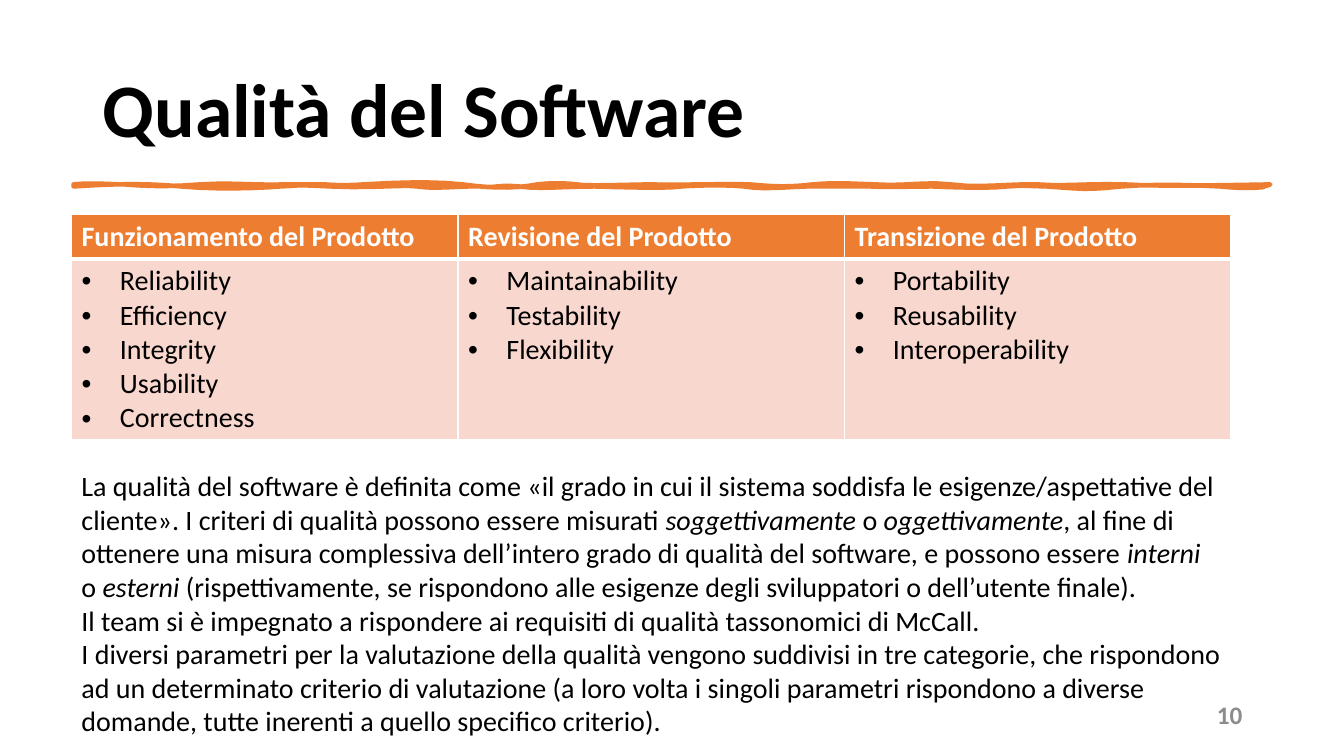
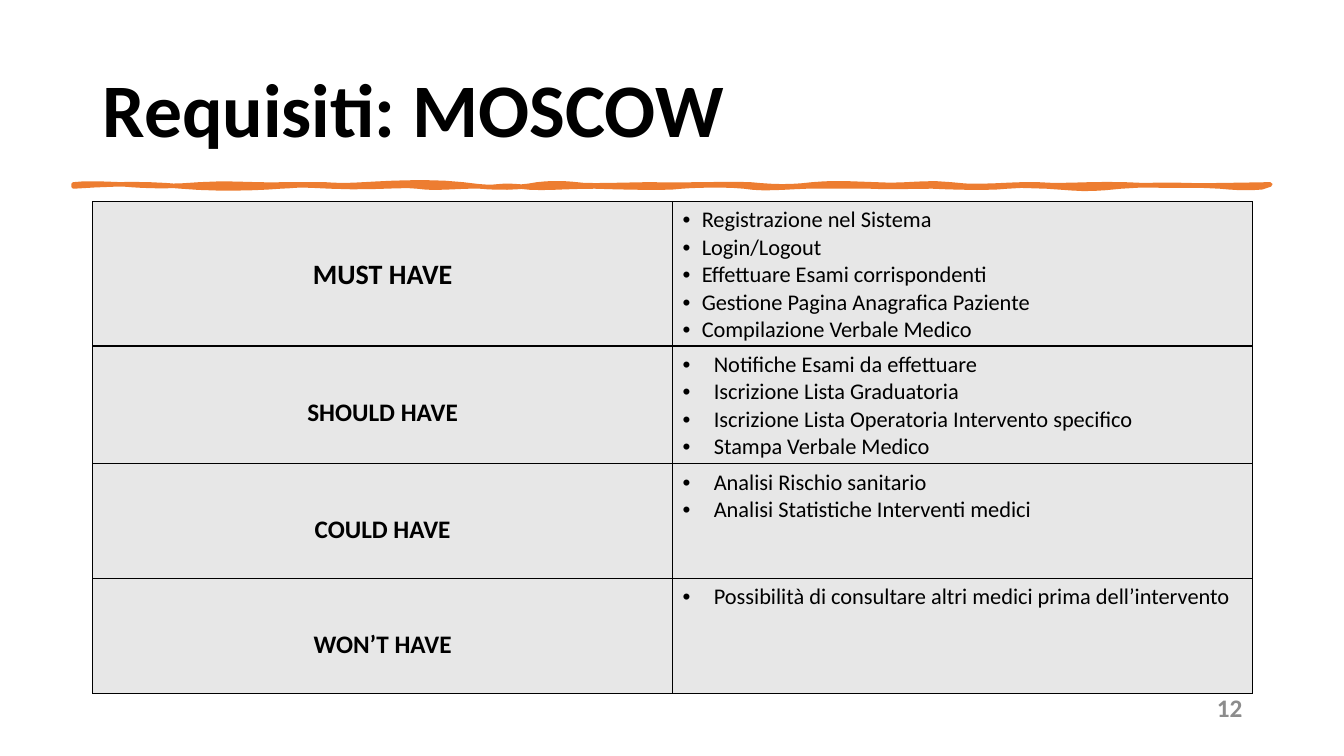
from lxml.etree import SubElement
from pptx import Presentation
from pptx.dml.color import RGBColor
from pptx.enum.text import MSO_ANCHOR as Anchor, PP_ALIGN as Align
from pptx.oxml.ns import qn
from pptx.util import Inches, Pt

FONT = "Calibri"
BLACK, WHITE, ORANGE = "000000", "FFFFFF", "ED7D31"
PEACH, GREY, NUMBER_GREY = "F8D7CE", "E7E7E7", "8C8C8C"
TABLE_WIDTH = 11.5

STROKE_LEFT = 0.73
TOP_EDGE, BOTTOM_EDGE = 1.83, 1.85
TOP_CURVES = [
    (0.89, 1.81, 1.11, 1.83, 1.24), (1.36, 1.84, 1.62, 1.86, 1.98),
    (2.34, 1.81, 2.51, 1.84, 2.84), (3.17, 1.83, 3.07, 1.83, 3.22),
    (3.38, 1.84, 3.42, 1.84, 3.61), (3.8, 1.82, 4.24, 1.79, 4.59),
    (4.94, 1.88, 5.17, 1.86, 5.33), (5.49, 1.81, 5.63, 1.82, 5.72),
    (5.81, 1.85, 6.25, 1.83, 6.46), (6.67, 1.84, 7.23, 1.82, 7.44),
    (7.65, 1.85, 7.82, 1.86, 8.06), (8.3, 1.81, 8.38, 1.82, 8.68),
    (8.99, 1.85, 9.14, 1.8, 9.43), (9.72, 1.87, 10.02, 1.82, 10.29),
    (10.55, 1.85, 10.78, 1.82, 11.15), (11.51, 1.85, 11.99, 1.84, 12.6),
]
BOTTOM_CURVES = [
    (12.42, 1.87, 12.3, 1.87, 12.1), (11.9, 1.84, 11.49, 1.82, 11.12),
    (10.75, 1.89, 10.7, 1.87, 10.38), (10.05, 1.84, 10.18, 1.84, 9.99),
    (9.8, 1.87, 9.48, 1.86, 9.25), (9.02, 1.85, 8.84, 1.86, 8.63),
    (8.41, 1.85, 8.28, 1.85, 8), (7.73, 1.86, 7.57, 1.88, 7.38),
    (7.19, 1.83, 6.88, 1.84, 6.76), (6.63, 1.87, 6.24, 1.86, 5.9),
    (5.55, 1.85, 5.37, 1.88, 5.15), (4.94, 1.83, 4.91, 1.87, 4.77),
    (4.63, 1.84, 4.3, 1.88, 4.14), (3.99, 1.83, 3.71, 1.87, 3.28),
    (2.86, 1.83, 3.03, 1.84, 2.78), (2.53, 1.87, 2.13, 1.88, 1.8),
    (1.47, 1.82, 1.18, 1.82, 0.73),
]

QUALITY_FACTORS = {
    "Funzionamento del Prodotto": ["Reliability", "Efficiency", "Integrity", "Usability", "Correctness"],
    "Revisione del Prodotto": ["Maintainability", "Testability", "Flexibility"],
    "Transizione del Prodotto": ["Portability", "Reusability", "Interoperability"],
}
QUALITY_TEXT = [
    "La qualità del software è definita come «il grado in cui il sistema soddisfa le "
    "esigenze/aspettative del cliente». I criteri di qualità possono essere misurati "
    "*soggettivamente* o *oggettivamente*, al fine di ottenere una misura complessiva "
    "dell’intero grado di qualità del software, e possono essere *interni* o *esterni* "
    "(rispettivamente, se rispondono alle esigenze degli sviluppatori o dell’utente finale).",
    "Il team si è impegnato a rispondere ai requisiti di qualità tassonomici di McCall.",
    "I diversi parametri per la valutazione della qualità vengono suddivisi in tre categorie, "
    "che rispondono ad un determinato criterio di valutazione (a loro volta i singoli parametri "
    "rispondono a diverse domande, tutte inerenti a quello specifico criterio).",
]
REQUIREMENTS = [
    ("MUST HAVE", 20, 0.19, 1.39, [
        "Registrazione nel Sistema", "Login/Logout", "Effettuare Esami corrispondenti",
        "Gestione Pagina Anagrafica Paziente", "Compilazione Verbale Medico"]),
    ("SHOULD HAVE", 18, 0.31, 1.14, [
        "Notifiche Esami da effettuare", "Iscrizione Lista Graduatoria",
        "Iscrizione Lista Operatoria Intervento specifico", "Stampa Verbale Medico"]),
    ("COULD HAVE", 18, 0.31, 1.14, [
        "Analisi Rischio sanitario", "Analisi Statistiche Interventi medici"]),
    ("WON’T HAVE", 18, 0.31, 1.14, [
        "Possibilità di consultare altri medici prima dell’intervento"]),
]


def rgb(value):
    return RGBColor.from_string(value)


def sample_curves(start, curves, edge, steps=6):
    points = []
    for x1, y1, x2, y2, end in curves:
        for step in range(1, steps + 1):
            t = step / steps
            weights = ((1 - t) ** 3, 3 * t * (1 - t) ** 2, 3 * t ** 2 * (1 - t), t ** 3)
            x = sum(w * v for w, v in zip(weights, (start, x1, x2, end)))
            y = sum(w * v for w, v in zip(weights, (edge, y1, y2, edge)))
            points.append((Inches(x), Inches(y)))
        start = end
    return points


class SlideWriter:
    """Hold the deck style and the current slide, and draw each kind of element."""

    def __init__(self):
        self.deck = Presentation()
        self.deck.slide_width, self.deck.slide_height = Inches(13.33), Inches(7.5)
        self.page = None

    def start(self, title):
        self.page = self.deck.slides.add_slide(self.deck.slide_layouts[6])
        self.text(0.92, 0.4, 11.5, 1.45, [title], 54, bold=True, anchor=Anchor.MIDDLE, spacing=0.9)
        self.brush_stroke()

    def fill_frame(self, frame, lines, size, color=BLACK, bold=False, align=Align.LEFT,
                   spacing=None, indent=None):
        for index, line in enumerate(lines):
            para = frame.add_paragraph() if index else frame.paragraphs[0]
            para.alignment = align
            if spacing:
                para.line_spacing = spacing
            if indent:
                self.bullet(para, indent)
            font = para.font
            font.name, font.size, font.bold = FONT, Pt(size), bold
            font.color.rgb = rgb(color)
            for position, part in enumerate(line.split("*")):
                span = para.add_run()
                span.text = part
                if position % 2:
                    span.font.italic = True

    def bullet(self, para, indent):
        properties = para._p.get_or_add_pPr()
        properties.set("marL", str(Inches(indent)))
        properties.set("indent", str(-Inches(indent)))
        SubElement(properties, qn("a:buFont"), typeface="Arial")
        SubElement(properties, qn("a:buChar"), char="•")

    def text(self, left, top, width, height, lines, size, anchor=Anchor.TOP, **style):
        box = self.page.shapes.add_textbox(Inches(left), Inches(top), Inches(width), Inches(height))
        frame = box.text_frame
        frame.word_wrap = True
        frame.vertical_anchor = anchor
        self.fill_frame(frame, lines, size, **style)

    def page_number(self, number, top, height):
        self.text(9.42, top, 3, height, [str(number)], 18, color=NUMBER_GREY, bold=True,
                  align=Align.RIGHT, anchor=Anchor.MIDDLE)

    def brush_stroke(self):
        points = sample_curves(STROKE_LEFT, TOP_CURVES, TOP_EDGE)
        points += sample_curves(TOP_CURVES[-1][-1], BOTTOM_CURVES, BOTTOM_EDGE)
        builder = self.page.shapes.build_freeform(Inches(STROKE_LEFT), Inches(TOP_EDGE))
        builder.add_line_segments(points, close=True)
        stroke = builder.convert_to_shape()
        stroke.shadow.inherit = False
        stroke.fill.solid()
        stroke.fill.fore_color.rgb = rgb(ORANGE)
        stroke.line.color.rgb = rgb(ORANGE)
        stroke.line.width = Pt(3.25)

    def table(self, left, top, heights, columns, header=False):
        frame = self.page.shapes.add_table(len(heights), columns, Inches(left), Inches(top),
                                           Inches(TABLE_WIDTH), Inches(sum(heights)))
        table = frame.table
        table.first_row, table.horz_banding = header, False
        for row, height in zip(table.rows, heights):
            row.height = Inches(height)
        return table

    def cell(self, cell, lines, size, fill, border, thick_side=None, **style):
        properties = cell._tc.get_or_add_tcPr()
        for side in "LRTB":
            width = Pt(3 if side == thick_side else 1)
            line = SubElement(properties, qn(f"a:ln{side}"), w=str(width))
            solid = SubElement(line, qn("a:solidFill"))
            SubElement(solid, qn("a:srgbClr"), val=border)
        cell.fill.solid()
        cell.fill.fore_color.rgb = rgb(fill)
        self.fill_frame(cell.text_frame, lines, size, **style)


def quality_slide(writer):
    writer.start("Qualità del Software")
    writer.page_number(10, 6.83, 0.52)
    table = writer.table(0.71, 2.13, [0.44, 1.79], len(QUALITY_FACTORS), header=True)
    for column, (category, factors) in enumerate(QUALITY_FACTORS.items()):
        writer.cell(table.cell(0, column), [category], 20, ORANGE, WHITE, "B", color=WHITE, bold=True)
        writer.cell(table.cell(1, column), factors, 20, PEACH, WHITE, "T", indent=0.38)
    writer.text(0.71, 4.6, TABLE_WIDTH, 2.79, QUALITY_TEXT, 20)


def requirements_slide(writer):
    writer.start("Requisiti: MOSCOW")
    table = writer.table(0.92, 2, [height for *_, height, _ in REQUIREMENTS], 2)
    for row, (priority, size, indent, _, items) in enumerate(REQUIREMENTS):
        writer.cell(table.cell(row, 0), [priority], size, GREY, BLACK, bold=True,
                    align=Align.CENTER, spacing=2.5)
        writer.cell(table.cell(row, 1), items, 16, GREY, BLACK, indent=indent)
    writer.page_number(12, 6.69, 0.66)


def main():
    writer = SlideWriter()
    quality_slide(writer)
    requirements_slide(writer)
    writer.deck.save("out.pptx")


if __name__ == "__main__":
    main()
